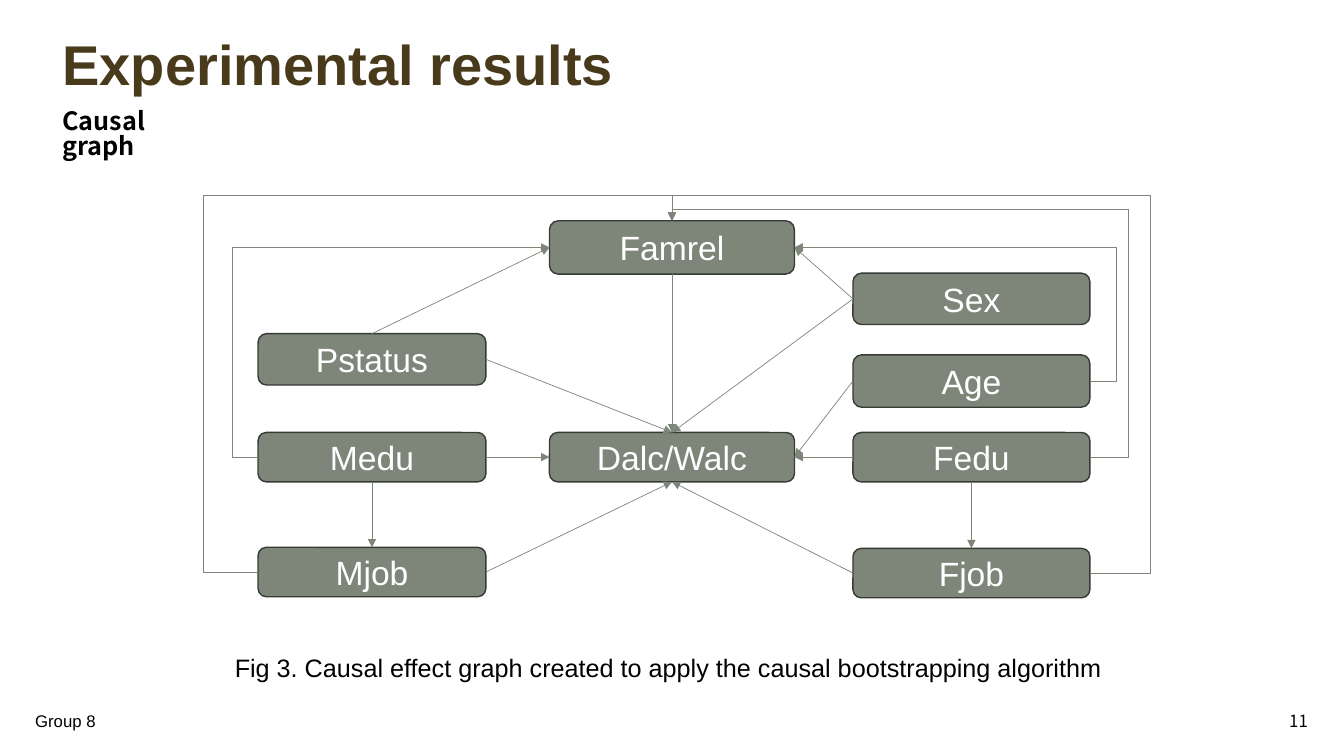
from lxml.etree import SubElement
from pptx import Presentation
from pptx.dml.color import RGBColor
from pptx.enum.shapes import MSO_CONNECTOR, MSO_SHAPE
from pptx.enum.text import MSO_ANCHOR, PP_ALIGN
from pptx.oxml.ns import qn
from pptx.util import Inches, Pt

COLORS = {"title": "4A3A1C", "text": "000000", "node": "7E8679",
          "outline": "373B35", "label": "FFFFFF"}
SANS, CJK = "Arial", "Noto Sans CJK SC"

TITLE = "Experimental results"
TEXTS = [
    ("Group 8", (0.25, 6.95, 4.5, 0.4), 12, SANS, False, PP_ALIGN.LEFT, MSO_ANCHOR.MIDDLE, 1),
    ("11", (10.07, 6.95, 3, 0.4), 12, CJK, False, PP_ALIGN.RIGHT, MSO_ANCHOR.MIDDLE, 1),
    ("Fig 3. Causal effect graph created to apply the causal bootstrapping algorithm",
     (2.23, 6.42, 8.88, 0.4), 18, SANS, False, PP_ALIGN.LEFT, MSO_ANCHOR.TOP, 1),
    ("Causal graph", (0.52, 1.05, 1.3, 0.7), 18, CJK, True, PP_ALIGN.LEFT, MSO_ANCHOR.TOP, 0.82),
]

COLUMNS = {"left": (2.56, 2.26), "middle": (5.45, 2.43), "right": (8.46, 2.35)}
NODES = {
    "Famrel": ("middle", 2.19, 0.53),
    "Sex": ("right", 2.71, 0.51),
    "Pstatus": ("left", 3.31, 0.51),
    "Age": ("right", 3.52, 0.52),
    "Medu": ("left", 4.29, 0.49),
    "Dalc/Walc": ("middle", 4.29, 0.49),
    "Fedu": ("right", 4.29, 0.49),
    "Mjob": ("left", 5.43, 0.49),
    "Fjob": ("right", 5.44, 0.49),
}

SITES = {"top": 0, "left": 1, "bottom": 2, "right": 3}
ARROWS = [
    ("Famrel", "bottom", "Dalc/Walc", "top"),
    ("Pstatus", "top", "Famrel", "left"),
    ("Pstatus", "right", "Dalc/Walc", "top"),
    ("Medu", "right", "Dalc/Walc", "left"),
    ("Medu", "bottom", "Mjob", "top"),
    ("Mjob", "right", "Dalc/Walc", "bottom"),
    ("Sex", "left", "Famrel", "right"),
    ("Sex", "left", "Dalc/Walc", "top"),
    ("Age", "left", "Dalc/Walc", "right"),
    ("Fedu", "left", "Dalc/Walc", "right"),
    ("Fedu", "bottom", "Fjob", "top"),
    ("Fjob", "left", "Dalc/Walc", "bottom"),
]
DETOURS = [
    ("Medu", "left", "Famrel", "left", 2.31, None),
    ("Mjob", "left", "Famrel", "top", 2.02, 1.94),
    ("Age", "right", "Famrel", "right", 11.07, None),
    ("Fedu", "right", "Famrel", "top", 11.19, 2.08),
    ("Fjob", "right", "Famrel", "top", 11.41, 1.94),
]


def color(name):
    return RGBColor.from_string(COLORS[name])


def write(shape, text, size, font, tint, bold=False, align=PP_ALIGN.LEFT,
          anchor=MSO_ANCHOR.MIDDLE, spacing=1):
    frame = shape.text_frame
    frame.text = text
    frame.word_wrap = True
    frame.vertical_anchor = anchor
    para = frame.paragraphs[0]
    para.alignment = align
    para.line_spacing = spacing
    span = para.runs[0]
    span.font.size = Pt(size)
    span.font.name = font
    span.font.bold = bold
    span.font.color.rgb = color(tint)
    if font == CJK:
        SubElement(span.font._element, qn("a:ea")).set("typeface", font)


def add_node(page, name):
    column, top, height = NODES[name]
    left, width = COLUMNS[column]
    box = page.shapes.add_shape(MSO_SHAPE.ROUNDED_RECTANGLE, Inches(left), Inches(top),
                                Inches(width), Inches(height))
    box.shadow.inherit = False
    box.fill.solid()
    box.fill.fore_color.rgb = color("node")
    box.line.color.rgb = color("outline")
    box.line.width = Pt(1)
    write(box, name, 24, SANS, "label", align=PP_ALIGN.CENTER)
    return box


def add_arrow(page, boxes, source, exit_side, target, entry_side, kind=MSO_CONNECTOR.STRAIGHT):
    arrow = page.shapes.add_connector(kind, 0, 0, 0, 0)
    arrow.begin_connect(boxes[source], SITES[exit_side])
    arrow.end_connect(boxes[target], SITES[entry_side])
    arrow.line.color.rgb = color("node")
    arrow.line.width = Pt(0.5)
    SubElement(arrow.line._get_or_add_ln(), qn("a:tailEnd")).set("type", "triangle")
    SubElement(arrow._element.spPr, qn("a:effectLst"))
    return arrow


def route(arrow, lane, ceiling):
    shares = [(Inches(lane) - arrow.begin_x) / (arrow.end_x - arrow.begin_x)]
    if ceiling is not None:
        shares.append((Inches(ceiling) - arrow.begin_y) / (arrow.end_y - arrow.begin_y))
    geometry = arrow._element.spPr.find(qn("a:prstGeom"))
    geometry.set("prst", f"bentConnector{len(shares) + 2}")
    guides = geometry.find(qn("a:avLst"))
    if guides is None:
        guides = SubElement(geometry, qn("a:avLst"))
    for number, share in enumerate(shares, 1):
        guide = SubElement(guides, qn("a:gd"))
        guide.set("name", f"adj{number}")
        guide.set("fmla", f"val {round(share * 100000)}")


def main():
    deck = Presentation()
    deck.slide_width, deck.slide_height = Inches(13.33), Inches(7.5)
    page = deck.slides.add_slide(deck.slide_layouts[5])

    title = page.shapes.title
    title.left, title.top = Inches(0.52), Inches(0.28)
    title.width, title.height = Inches(6.15), Inches(0.78)
    write(title, TITLE, 40, SANS, "title", bold=True, spacing=0.9)

    for text, place, size, font, bold, align, anchor, spacing in TEXTS:
        box = page.shapes.add_textbox(*map(Inches, place))
        write(box, text, size, font, "text", bold, align, anchor, spacing)

    boxes = {name: add_node(page, name) for name in NODES}
    for ends in ARROWS:
        add_arrow(page, boxes, *ends)
    for *ends, lane, ceiling in DETOURS:
        route(add_arrow(page, boxes, *ends, MSO_CONNECTOR.ELBOW), lane, ceiling)

    deck.save("out.pptx")


if __name__ == "__main__":
    main()
